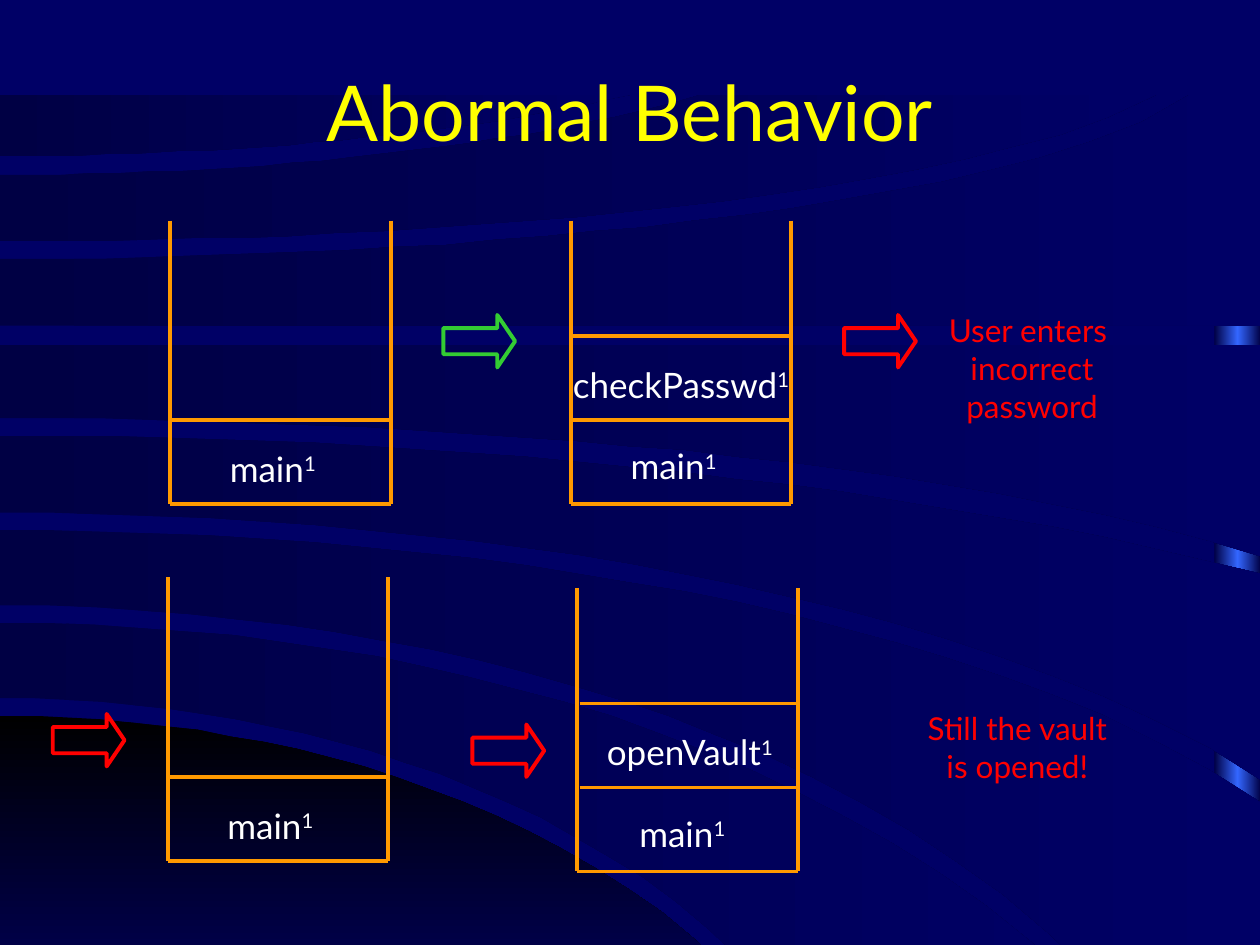
from copy import deepcopy
from dataclasses import dataclass
from math import sqrt

from lxml.etree import SubElement
from pptx import Presentation
from pptx.dml.color import RGBColor
from pptx.enum.shapes import MSO_CONNECTOR, MSO_SHAPE
from pptx.enum.text import MSO_ANCHOR, MSO_AUTO_SIZE, PP_ALIGN
from pptx.oxml.ns import qn
from pptx.util import Pt

FONT = "Lato"
NAVY, DARK_NAVY, BLACK, BLUE = "000066", "000044", "000000", "3366FF"
ORANGE, RED, GREEN, WHITE, YELLOW = "FF9900", "FF0000", "33CC33", "FFFFFF", "FFFF00"
STACK_WIDTH, STACK_HEIGHT, FRAME_HEIGHT = 126, 162, 48
LABEL_HEIGHT = 31.7
CURVE_STEPS = 24

Points = list[tuple[float, float]]


@dataclass
class Edge:
    start_y: float
    end_x: float
    end_y: float
    radius: float = 1000

    def points(self) -> Points:
        def sag(x: float) -> float:
            return 1 - sqrt(1 - (x / self.radius) ** 2)

        rise = (self.end_y - self.start_y) / sag(self.end_x)
        steps = [self.end_x * step / CURVE_STEPS for step in range(CURVE_STEPS + 1)]
        return [(x, self.start_y + rise * sag(x)) for x in steps]


@dataclass
class Band:
    upper: Edge
    lower: Edge
    corner: tuple[tuple[float, float], ...] = ()
    colors: tuple[str, ...] = (DARK_NAVY, NAVY)
    angle: int = 0


@dataclass
class Frame:
    name: str
    width: float
    gap: float = 12
    shift: float = 0


@dataclass
class Stack:
    left: float
    top: float
    frames: list[Frame]
    divider_shift: float = 0


@dataclass
class Arrow:
    left: float
    top: float
    color: str


@dataclass
class Message:
    left: float
    top: float
    width: float
    height: float
    lines: list[str]


BANDS = [
    Band(Edge(409, 453, 595, 505), Edge(595, 453, 595), (), (BLACK, NAVY), 270),
    Band(Edge(356, 644, 594, 715), Edge(399, 463, 594, 510)),
    Band(Edge(303, 721, 459, 805), Edge(346, 655, 594, 710), ((721, 594),)),
    Band(Edge(249, 721, 328, 1100), Edge(293, 721, 446, 810)),
    Band(Edge(197, 721, 197), Edge(239, 721, 318, 830)),
    Band(Edge(148, 680, 54, 700), Edge(186, 721, 186), ((721, 54),)),
    Band(Edge(100, 401, 54, 520), Edge(138, 661, 54, 690)),
    Band(Edge(54, 361, 54), Edge(89, 361, 54, 500)),
]


def main_frame(gap: float) -> Frame:
    return Frame("main", 68.4, gap, -4.3)


STACKS = [
    Stack(97.2, 126, [main_frame(12)]),
    Stack(326.2, 126, [main_frame(10.6), Frame("checkPasswd", 145.4)]),
    Stack(95.8, 330, [main_frame(12)]),
    Stack(329.8, 336, [main_frame(10.6), Frame("openVault", 117.4)], 1.4),
]
ARROWS = [Arrow(253.4, 180, GREEN), Arrow(482.4, 180, RED),
          Arrow(30.2, 408, RED), Arrow(270, 414, RED)]
MESSAGES = [
    Message(531.4, 174.2, 116.6, 72, ["User enters ", "incorrect", "password"]),
    Message(519.8, 401.8, 123.1, 50.4, ["Still the vault", "is opened!"]),
]


def rgb(color: str) -> RGBColor:
    return RGBColor.from_string(color)


def paint_gradient(shape, colors: tuple[str, ...], angle: int) -> None:
    shape.shadow.inherit = False
    shape.line.fill.background()
    shape.fill.gradient()
    shape.fill.gradient_angle = angle
    stop_list = shape._element.spPr.find(".//" + qn("a:gsLst"))
    while len(stop_list) < len(colors):
        stop_list.append(deepcopy(stop_list[0]))
    for index, (stop, color) in enumerate(zip(shape.fill.gradient_stops, colors)):
        stop.color.rgb = rgb(color)
        stop.position = index / (len(colors) - 1)


def draw_band(slide, band: Band) -> None:
    outline = band.upper.points() + list(band.corner) + band.lower.points()[::-1]
    builder = slide.shapes.build_freeform(*outline[0], scale=Pt(1))
    builder.add_line_segments(outline[1:], close=True)
    paint_gradient(builder.convert_to_shape(), band.colors, band.angle)


def draw_line(shapes, x1: float, y1: float, x2: float, y2: float) -> None:
    connector = shapes.add_connector(MSO_CONNECTOR.STRAIGHT, Pt(x1), Pt(y1), Pt(x2), Pt(y2))
    connector.line.color.rgb = rgb(ORANGE)
    connector.line.width = Pt(2.25)
    SubElement(connector._element.spPr, qn("a:effectLst"))


def add_run(paragraph, text: str, size: float, color: str):
    run = paragraph.add_run()
    run.text = text
    run.font.name = FONT
    run.font.size = Pt(size)
    run.font.color.rgb = rgb(color)
    return run


def add_text(slide, left: float, top: float, width: float, height: float,
             lines: list[str], size: float, color: str):
    shape = slide.shapes.add_textbox(Pt(left), Pt(top), Pt(width), Pt(height))
    frame = shape.text_frame
    frame.word_wrap = False
    frame.auto_size = MSO_AUTO_SIZE.SHAPE_TO_FIT_TEXT
    for index, line in enumerate(lines):
        paragraph = frame.add_paragraph() if index else frame.paragraphs[0]
        paragraph.alignment = PP_ALIGN.CENTER
        add_run(paragraph, line, size, color)
    return frame


def draw_stack(slide, stack: Stack) -> None:
    right, bottom = stack.left + STACK_WIDTH, stack.top + STACK_HEIGHT
    walls = slide.shapes.add_group_shape().shapes
    draw_line(walls, stack.left, stack.top, stack.left, bottom)
    draw_line(walls, stack.left, bottom, right, bottom)
    draw_line(walls, right, stack.top, right, bottom)
    divider_left = stack.left + stack.divider_shift
    for level, frame in enumerate(stack.frames, start=1):
        y = bottom - level * FRAME_HEIGHT
        draw_line(slide.shapes, divider_left, y, divider_left + STACK_WIDTH, y)
        left = divider_left + (STACK_WIDTH - frame.width) / 2 + frame.shift
        label = add_text(slide, left, y + frame.gap, frame.width, LABEL_HEIGHT,
                         [frame.name], 20, WHITE)
        superscript = add_run(label.paragraphs[0], "1", 20, WHITE)
        superscript._r.get_or_add_rPr().set("baseline", "30000")


def draw_arrow(slide, arrow: Arrow) -> None:
    shape = slide.shapes.add_shape(MSO_SHAPE.RIGHT_ARROW, Pt(arrow.left), Pt(arrow.top),
                                   Pt(41), Pt(30))
    shape.adjustments[1] = 0.34
    shape.shadow.inherit = False
    shape.fill.background()
    shape.line.color.rgb = rgb(arrow.color)
    shape.line.width = Pt(2.25)


def main() -> None:
    presentation = Presentation()
    presentation.slide_width, presentation.slide_height = Pt(720), Pt(540)
    slide = presentation.slides.add_slide(presentation.slide_layouts[6])
    slide.background.fill.solid()
    slide.background.fill.fore_color.rgb = rgb(NAVY)

    edge = slide.shapes.add_shape(MSO_SHAPE.RECTANGLE, Pt(694), Pt(55.4), Pt(26.6), Pt(540))
    paint_gradient(edge, (DARK_NAVY, BLUE, DARK_NAVY), 0)
    for band in BANDS:
        draw_band(slide, band)
    for stack in STACKS:
        draw_stack(slide, stack)
    for arrow in ARROWS:
        draw_arrow(slide, arrow)
    title = add_text(slide, 54, 18, 612, 90, ["Abormal Behavior"], 44, YELLOW)
    title.word_wrap = True
    title.auto_size = MSO_AUTO_SIZE.NONE
    title.vertical_anchor = MSO_ANCHOR.MIDDLE
    for message in MESSAGES:
        add_text(slide, message.left, message.top, message.width, message.height,
                 message.lines, 18, RED)
    presentation.save("out.pptx")


if __name__ == "__main__":
    main()
